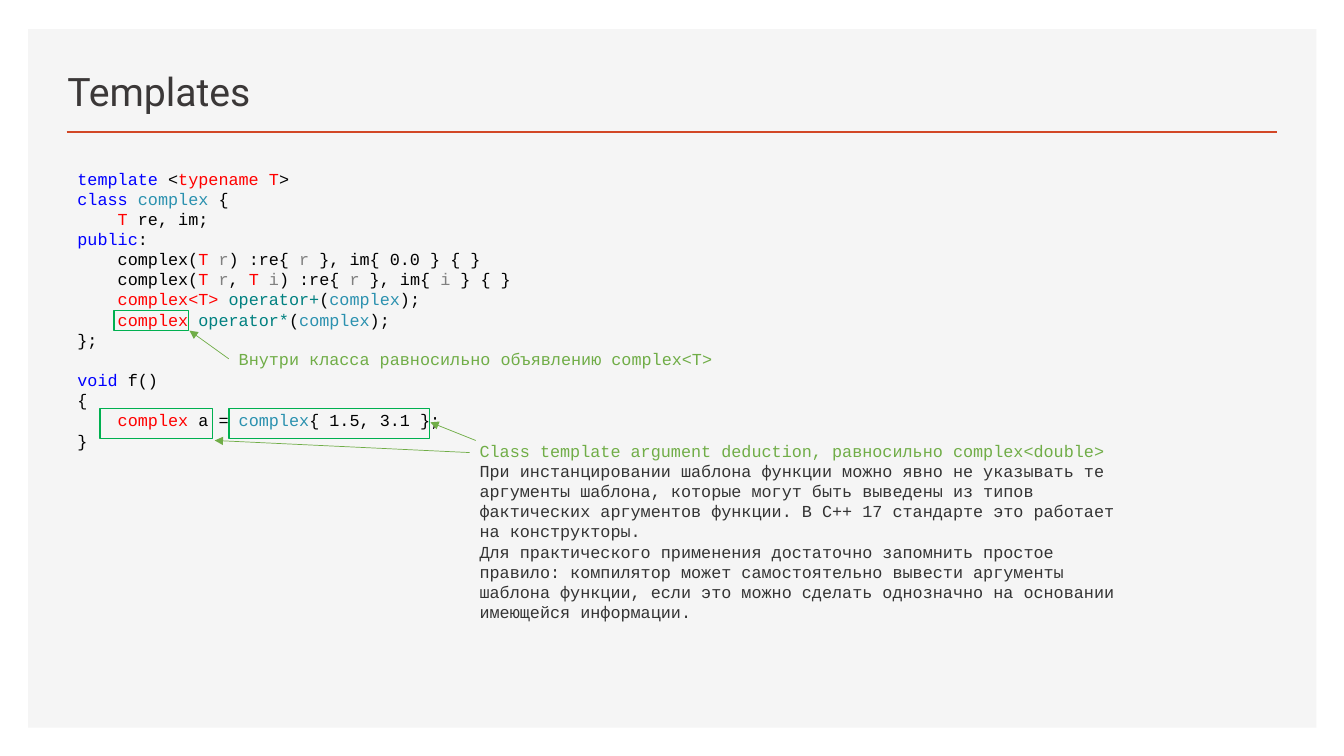
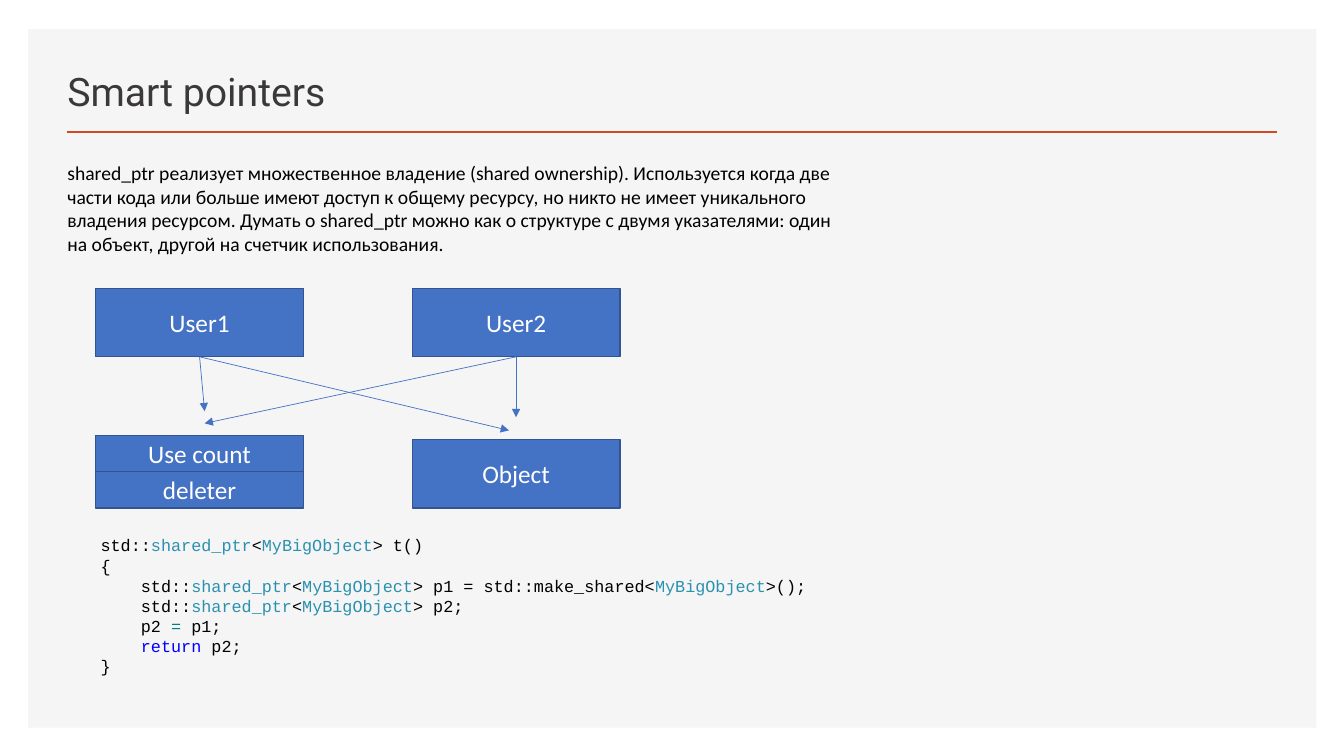
from lxml import etree
from pptx import Presentation
from pptx import util as u
from pptx.dml.color import RGBColor
from pptx.enum import shapes, text
from pptx.oxml.ns import qn

PX = 9144
PANEL = RGBColor(0xF5, 0xF5, 0xF5)
ACCENT = RGBColor(0xD2, 0x47, 0x26)
TITLE = RGBColor(0x3B, 0x38, 0x38)
BODY = RGBColor(0x33, 0x33, 0x33)
BLACK = RGBColor(0x00, 0x00, 0x00)
WHITE = RGBColor(0xFF, 0xFF, 0xFF)
KEYWORD = RGBColor(0x00, 0x00, 0xFF)
TYPE = RGBColor(0x2B, 0x91, 0xAF)
OPERATOR = RGBColor(0x00, 0x80, 0x80)
PARAMETER = RGBColor(0x80, 0x80, 0x80)
RED = RGBColor(0xFF, 0x00, 0x00)
NOTE = RGBColor(0x70, 0xAD, 0x47)
FRAME = RGBColor(0x00, 0xB0, 0x50)
BLUE = RGBColor(0x44, 0x72, 0xC4)
BLUE_EDGE = RGBColor(0x32, 0x54, 0x91)
CODE_FONT = "Courier New"


def add_text(slide, box, lines, size=12, font=CODE_FONT):
    shape = slide.shapes.add_textbox(*[value * PX for value in box])
    frame = shape.text_frame
    frame.word_wrap = True
    for index, line in enumerate(lines):
        paragraph = frame.paragraphs[0] if index == 0 else frame.add_paragraph()
        for words, color in line:
            run = paragraph.add_run()
            run.text = words
            run.font.size = u.Pt(size)
            run.font.name = font
            run.font.color.rgb = color
    return frame


def add_line(slide, ends, color, width, arrow=True):
    line = slide.shapes.add_connector(
        shapes.MSO_CONNECTOR.STRAIGHT, *[value * PX for value in ends])
    line.line.color.rgb = color
    line.line.width = u.Pt(width)
    if arrow:
        etree.SubElement(line.line._get_or_add_ln(), qn("a:tailEnd"), type="triangle")
    etree.SubElement(line._element.spPr, qn("a:effectLst"))
    return line


presentation = Presentation()
presentation.slide_width = u.Emu(12192000)
presentation.slide_height = 750 * PX

slides = []
for title in ["Templates", "Smart pointers"]:
    slide = presentation.slides.add_slide(presentation.slide_layouts[6])
    panel = slide.shapes.add_shape(
        shapes.MSO_SHAPE.RECTANGLE, 28 * PX, 29 * PX, 1278 * PX, 693 * PX)
    panel.shadow.inherit = False
    panel.fill.solid()
    panel.fill.fore_color.rgb = PANEL
    panel.line.fill.background()
    add_line(slide, (66, 131, 1267, 131), ACCENT, 2, arrow=False)
    frame = add_text(slide, (57, 49, 966, 70), [[(title, TITLE)]], 28, "Roboto")
    frame.vertical_anchor = text.MSO_ANCHOR.BOTTOM
    frame.paragraphs[0].line_spacing = 0.9
    slides.append(slide)
templates, pointers = slides

class_code = [
    [("template", KEYWORD), (" <", BLACK), ("typename T", RED), (">", BLACK)],
    [("class ", KEYWORD), ("complex", TYPE), (" {", BLACK)],
    [("    ", BLACK), ("T", RED), (" re, im;", BLACK)],
    [("public", KEYWORD), (":", BLACK)],
    [("    complex(", BLACK), ("T ", RED), ("r", PARAMETER), (") :re{ ", BLACK),
     ("r", PARAMETER), (" }, im{ 0.0 } { }", BLACK)],
    [("    complex(", BLACK), ("T ", RED), ("r", PARAMETER), (", ", BLACK),
     ("T ", RED), ("i", PARAMETER), (") :re{ ", BLACK), ("r", PARAMETER),
     (" }, im{ ", BLACK), ("i", PARAMETER), (" } { }", BLACK)],
    [("    ", BLACK), ("complex<T> ", RED), ("operator+", OPERATOR),
     ("(", BLACK), ("complex", TYPE), (");", BLACK)],
    [("    ", BLACK), ("complex ", RED), ("operator*", OPERATOR),
     ("(", BLACK), ("complex", TYPE), (");", BLACK)],
    [("};", BLACK)],
]
function_code = [
    [("void", KEYWORD), (" f()", BLACK)],
    [("{", BLACK)],
    [("    ", BLACK), ("complex", RED), (" a = ", BLACK), ("complex", TYPE),
     ("{ 1.5, 3.1 };", BLACK)],
    [("}", BLACK)],
]
frame = add_text(templates, (67, 162, 667, 293), class_code + function_code)
frame.paragraphs[len(class_code)].space_before = u.Pt(14.4)

add_text(templates, (227, 341, 667, 30),
         [[("Внутри класса равносильно объявлению complex<T>", NOTE)]])
add_text(templates, (466, 432, 667, 192), [
    [("Class template argument deduction, равносильно complex<double>", NOTE)],
    [("При инстанцировании шаблона функции можно явно не указывать те аргументы "
      "шаблона, которые могут быть выведены из типов фактических аргументов функции. "
      "В С++ 17 стандарте это работает на конструкторы.", BODY)],
    [("Для практического применения достаточно запомнить простое правило: компилятор "
      "может самостоятельно вывести аргументы шаблона функции, если это можно сделать "
      "однозначно на основании имеющейся информации.", BODY)],
])

for box in [(113, 308, 74, 20), (227, 405, 199, 30), (99, 405, 112, 30)]:
    highlight = templates.shapes.add_shape(
        shapes.MSO_SHAPE.RECTANGLE, *[value * PX for value in box])
    highlight.shadow.inherit = False
    highlight.fill.background()
    highlight.line.color.rgb = FRAME
    highlight.line.width = u.Pt(1)

for ends in [(227, 356, 188, 328), (472, 437, 427, 419), (466, 449, 213, 437)]:
    add_line(templates, ends, NOTE, 0.5)

blocks = {}
for name, left, top, height in [
    ("User1", 95, 286, 68),
    ("User2", 409, 286, 68),
    ("Object", 409, 436, 68),
    ("Use count", 95, 432, 36),
    ("deleter", 95, 468, 36),
]:
    block = pointers.shapes.add_shape(
        shapes.MSO_SHAPE.RECTANGLE, left * PX, top * PX, 206 * PX, height * PX)
    block.shadow.inherit = False
    block.fill.solid()
    block.fill.fore_color.rgb = BLUE
    block.line.color.rgb = BLUE_EDGE
    block.line.width = u.Pt(1)
    block.text_frame.vertical_anchor = text.MSO_ANCHOR.MIDDLE
    paragraph = block.text_frame.paragraphs[0]
    paragraph.alignment = text.PP_ALIGN.CENTER
    run = paragraph.add_run()
    run.text = name
    run.font.size = u.Pt(18)
    run.font.name = "Calibri"
    run.font.color.rgb = WHITE
    blocks[name] = block

for user, start, end in [
    ("User1", (198, 354), (505, 427)),
    ("User2", (512, 354), (203, 420)),
    ("User2", (512, 354), (512, 414)),
    ("User1", (198, 354), (203, 408)),
]:
    arrow = add_line(pointers, start + end, BLUE, 0.5)
    arrow.begin_connect(blocks[user], 2)

add_text(pointers, (57, 155, 796, 104), [[(
    "shared_ptr реализует множественное владение (shared ownership). Используется "
    "когда две части кода или больше имеют доступ к общему ресурсу, но никто не имеет "
    "уникального владения ресурсом. Думать о shared_ptr можно как о структуре с двумя "
    "указателями: один на объект, другой на счетчик использования.", BLACK)]],
    14, "Calibri")

shared_type = [("shared_ptr", TYPE), ("<", BLACK), ("MyBigObject", TYPE)]
add_text(pointers, (90, 526, 756, 151), [
    [("std::", BLACK), *shared_type, ("> t()", BLACK)],
    [("{", BLACK)],
    [("    std::", BLACK), *shared_type, ("> p1 = std::make_shared<", BLACK),
     ("MyBigObject", TYPE), (">();", BLACK)],
    [("    std::", BLACK), *shared_type, ("> p2;", BLACK)],
    [("    p2 ", BLACK), ("=", OPERATOR), (" p1;", BLACK)],
    [("    ", BLACK), ("return", KEYWORD), (" p2;", BLACK)],
    [("}", BLACK)],
])

presentation.save("out.pptx")
